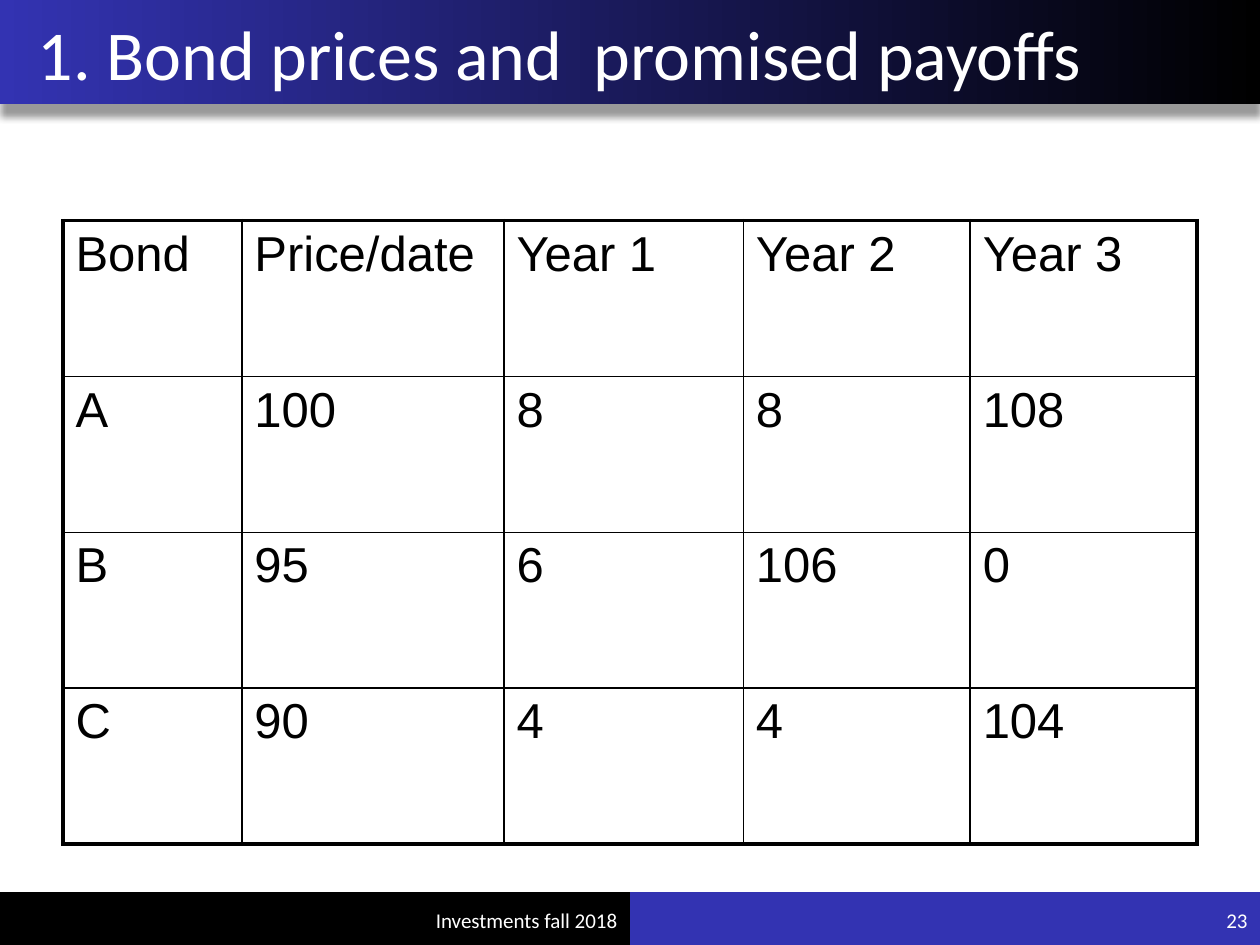
from lxml.etree import SubElement
from pptx import Presentation
from pptx.dml.color import RGBColor
from pptx.enum.shapes import MSO_SHAPE
from pptx.enum.text import MSO_ANCHOR, PP_ALIGN
from pptx.oxml import parse_xml
from pptx.oxml.ns import nsdecls, qn
from pptx.util import Inches, Pt

HUES = {"ink": "000000", "blue": "3333B2", "page": "FFFFFF"}
ROWS = [
    ["Bond", "Price/date", "Year 1", "Year 2", "Year 3"],
    ["A", "100", "8", "8", "108"],
    ["B", "95", "6", "106", "0"],
    ["C", "90", "4", "4", "104"],
]
WIDTHS = [1.42, 2.08, 1.9, 1.8, 1.8]


class Deck:
    """Holds the style and the current slide."""

    def __init__(self, prs):
        self.slide = prs.slides.add_slide(prs.slide_layouts[6])
        self.body = {"name": "Calibri", "size": Pt(12)}
        self.head = {"name": "Calibri", "size": Pt(40)}
        self.cell = {"name": "Arial", "size": Pt(28)}

    def hue(self, name):
        return RGBColor.from_string(HUES[name])

    def put(self, frame, text, style, hue, align=PP_ALIGN.LEFT):
        para = frame.paragraphs[0]
        para.alignment = align
        run = para.add_run()
        run.text = text
        for key, value in style.items():
            setattr(run.font, key, value)
        run.font.color.rgb = self.hue(hue)

    def bar(self, box, hue):
        rect = self.slide.shapes.add_shape(MSO_SHAPE.RECTANGLE, *map(Inches, box))
        rect.shadow.inherit = False
        rect.line.fill.background()
        rect.fill.solid()
        rect.fill.fore_color.rgb = self.hue(hue)
        return rect

    def banner(self, box):
        rect = self.bar(box, "blue")
        rect.fill.gradient()
        rect.fill.gradient_angle = 0
        for stop, hue in zip(rect.fill.gradient_stops, ["blue", "ink"]):
            stop.color.rgb = self.hue(hue)
        glow = rect._element.spPr.find(qn("a:effectLst"))
        glow.append(parse_xml(
            f'<a:outerShdw {nsdecls("a")} blurRad="{Pt(4)}" dist="{Pt(7)}" '
            f'dir="5400000" algn="t" rotWithShape="0"><a:srgbClr val="{HUES["ink"]}">'
            '<a:alpha val="40000"/></a:srgbClr></a:outerShdw>'))

    def label(self, box, text, style, align=PP_ALIGN.LEFT, inset=0.1):
        frame = self.slide.shapes.add_textbox(*map(Inches, box)).text_frame
        form = {"word_wrap": True, "vertical_anchor": MSO_ANCHOR.MIDDLE,
                "margin_left": Inches(inset)}
        for key, value in form.items():
            setattr(frame, key, value)
        self.put(frame, text, style, "page", align)

    def edge(self, cell, side, width):
        line = SubElement(cell._tc.get_or_add_tcPr(), qn(f"a:ln{side}"), w=str(Pt(width)))
        fill = SubElement(line, qn("a:solidFill"))
        SubElement(fill, qn("a:srgbClr"), val=HUES["ink"])

    def table(self, box, rows, widths):
        grid = self.slide.shapes.add_table(
            len(rows), len(widths), *map(Inches, box)).table
        grid.first_row = grid.horz_banding = False
        for col, width in zip(grid.columns, widths):
            col.width = Inches(width)
        for r, row in enumerate(rows):
            for c, text in enumerate(row):
                cell = grid.cell(r, c)
                self.put(cell.text_frame, text, self.cell, "ink")
                outer = {"L": c == 0, "R": c == len(row) - 1,
                         "T": r == 0, "B": r == len(rows) - 1}
                for side, thick in outer.items():
                    self.edge(cell, side, 2.25 if thick else 1)
                cell.fill.background()


def main():
    prs = Presentation()
    prs.slide_width, prs.slide_height = Inches(10), Inches(7.5)
    deck = Deck(prs)
    deck.bar((5, 7.08, 5, 0.42), "blue")
    deck.bar((0, 7.08, 5, 0.42), "ink")
    deck.banner((0, 0, 10, 0.83))
    deck.label((1.17, 7.1, 3.83, 0.4), "Investments fall 2018", deck.body, PP_ALIGN.RIGHT)
    deck.label((9.33, 7.1, 0.67, 0.4), "23", deck.body, PP_ALIGN.RIGHT)
    deck.label((0, 0, 9.75, 0.83), "1. Bond prices and  promised payoffs",
               deck.head, inset=0.3)
    deck.table((0.5, 1.75, 9, 4.95), ROWS, WIDTHS)
    prs.save("out.pptx")


if __name__ == "__main__":
    main()
